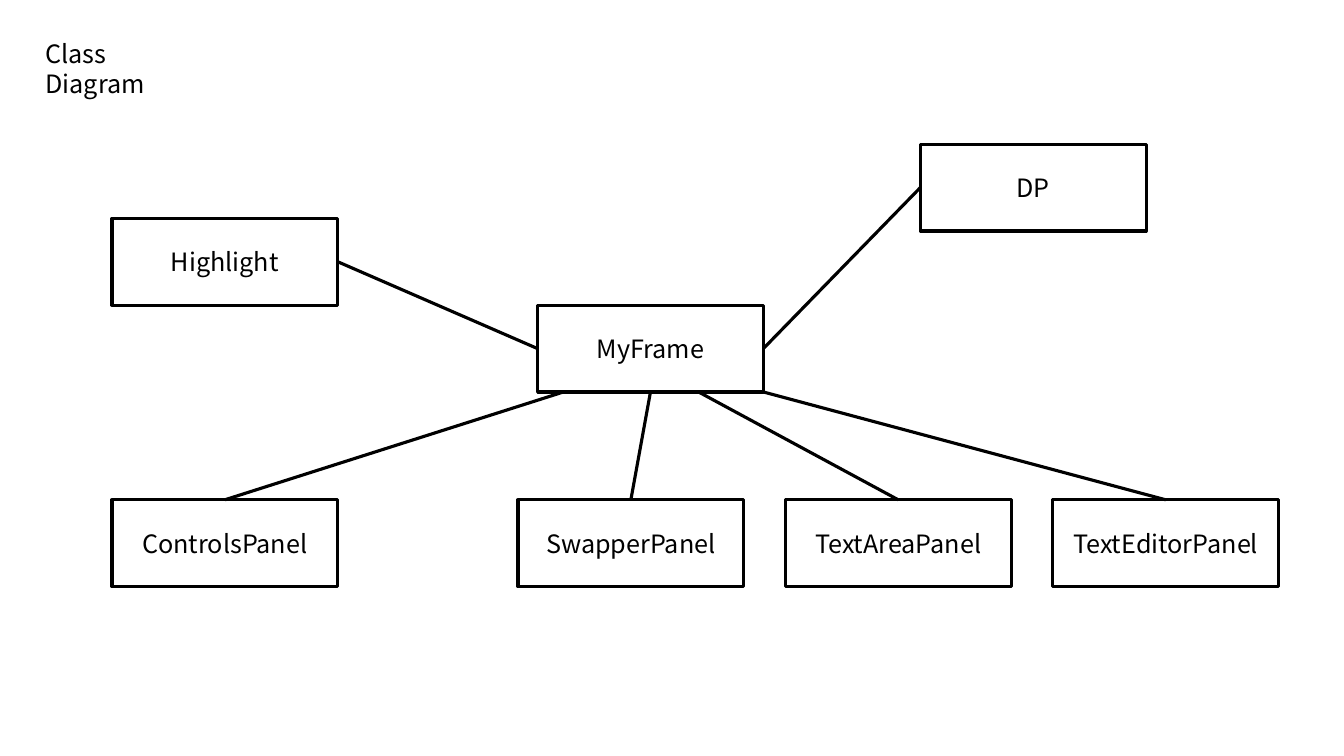
import pptx
import pptx.dml.color
import pptx.enum.shapes
import pptx.enum.text
import pptx.oxml.ns
import pptx.util
from lxml import etree

Pt = pptx.util.Pt
BLACK = pptx.dml.color.RGBColor(0x00, 0x00, 0x00)
WHITE = pptx.dml.color.RGBColor(0xFF, 0xFF, 0xFF)
ALIGN = pptx.enum.text.PP_ALIGN
ANCHOR = pptx.enum.text.MSO_ANCHOR
TOP, LEFT, BOTTOM, RIGHT = range(4)


def write(tf, text, size=18, font="Noto Sans CJK KR", color=BLACK,
          align=ALIGN.CENTER, anchor=ANCHOR.MIDDLE):
    """Put formatted text into a text frame."""
    tf.word_wrap = True
    tf.vertical_anchor = anchor
    p = tf.paragraphs[0]
    p.alignment = align
    r = p.add_run()
    r.text = text
    r.font.size = Pt(size)
    r.font.name = font
    r.font.color.rgb = color


class Diagram:
    """Draw class boxes and their links on one slide."""

    box_w, box_h, line_w = 161.3, 62, 2.25

    def __init__(self, slide):
        self.s = slide

    def title(self, text, x, y, w, h):
        sp = self.s.shapes.title
        sp.left, sp.top, sp.width, sp.height = Pt(x), Pt(y), Pt(w), Pt(h)
        write(sp.text_frame, text, align=ALIGN.LEFT, anchor=ANCHOR.TOP)
        sp.text_frame.auto_size = pptx.enum.text.MSO_AUTO_SIZE.SHAPE_TO_FIT_TEXT

    def box(self, name, x, y):
        sp = self.s.shapes.add_shape(
            pptx.enum.shapes.MSO_SHAPE.RECTANGLE,
            Pt(x), Pt(y), Pt(self.box_w), Pt(self.box_h))
        sp.shadow.inherit = False
        sp.fill.solid()
        sp.fill.fore_color.rgb = WHITE
        self.stroke(sp)
        write(sp.text_frame, name)
        return sp

    def stroke(self, sp):
        sp.line.color.rgb = BLACK
        sp.line.width = Pt(self.line_w)

    def link(self, target, target_side, source=None, source_side=None, start=(0, 0)):
        c = self.s.shapes.add_connector(
            pptx.enum.shapes.MSO_CONNECTOR.STRAIGHT,
            Pt(start[0]), Pt(start[1]), 0, 0)
        if source is not None:
            c.begin_connect(source, source_side)
        c.end_connect(target, target_side)
        self.stroke(c)
        etree.SubElement(c._element.spPr, pptx.oxml.ns.qn("a:effectLst"))


def main():
    prs = pptx.Presentation()
    prs.slide_width, prs.slide_height = Pt(960), Pt(540)
    d = Diagram(prs.slides.add_slide(prs.slide_layouts[5]))
    d.title("Class Diagram", 25.2, 23.8, 130, 29)

    panel_y, panel_x, panel_step = 357, 370, 191
    controls = d.box("ControlsPanel", 80, panel_y)
    swapper, text_area, text_editor = [
        d.box(name, panel_x + i * panel_step, panel_y)
        for i, name in enumerate(("SwapperPanel", "TextAreaPanel", "TextEditorPanel"))]
    highlight = d.box("Highlight", 80, 156)
    dp = d.box("DP", 657.4, 103)
    frame_x, frame_y = 384, 218
    frame = d.box("MyFrame", frame_x, frame_y)

    d.link(frame, LEFT, highlight, RIGHT)
    d.link(frame, RIGHT, dp, LEFT)
    d.link(swapper, TOP, frame, BOTTOM)
    for panel, offset in ((controls, 18.5), (text_area, 115), (text_editor, d.box_w)):
        d.link(panel, TOP, start=(frame_x + offset, frame_y + d.box_h))

    prs.save("out.pptx")


if __name__ == "__main__":
    main()
